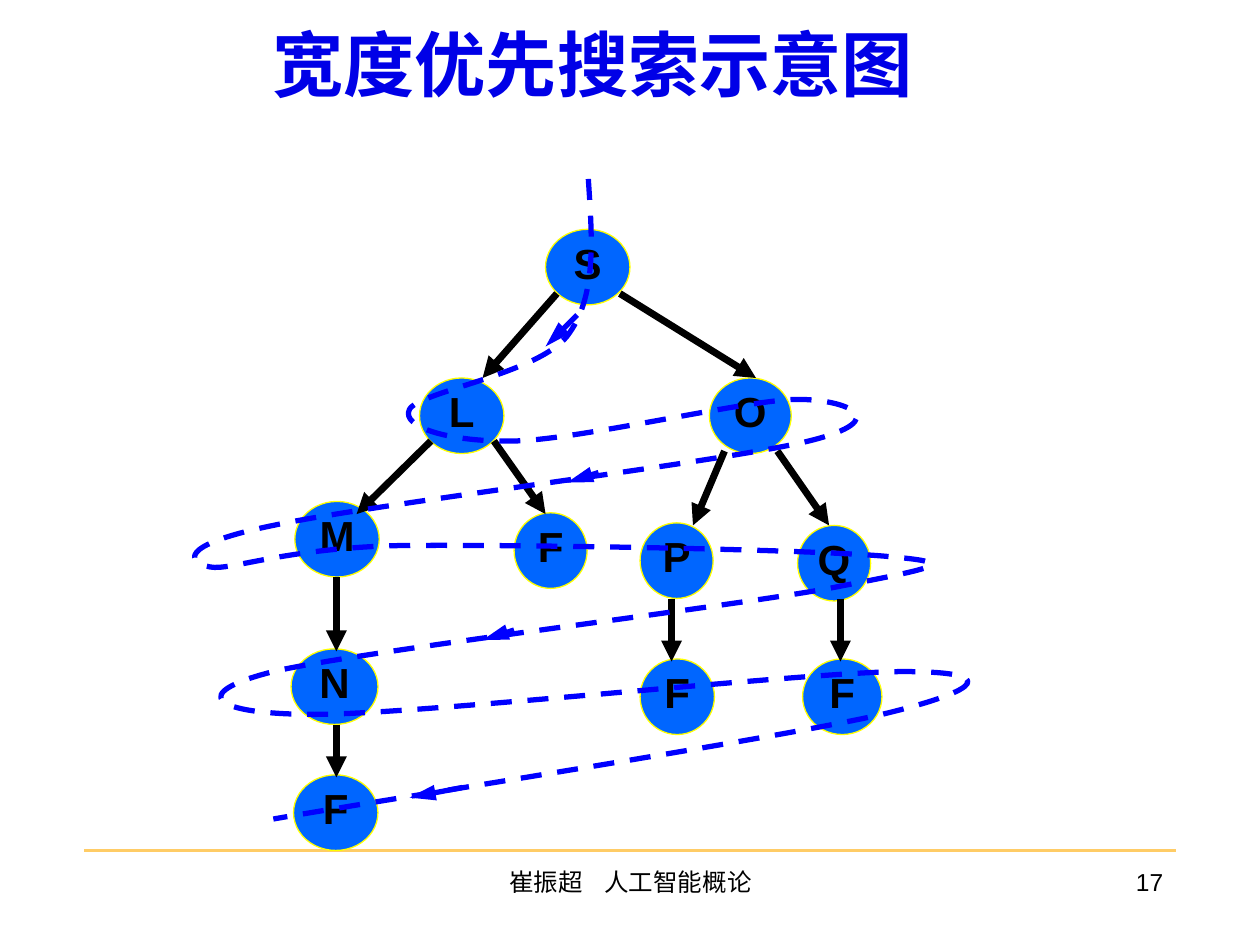
from lxml import etree
from pptx import Presentation
from pptx.dml.color import RGBColor
from pptx.enum.dml import MSO_LINE
from pptx.enum.shapes import MSO_CONNECTOR, MSO_SHAPE
from pptx.enum.text import MSO_ANCHOR, PP_ALIGN
from pptx.oxml.ns import qn
from pptx.util import Inches, Pt

STRAIGHT = MSO_CONNECTOR.STRAIGHT
OVAL = MSO_SHAPE.OVAL
MIDDLE, TOP = MSO_ANCHOR.MIDDLE, MSO_ANCHOR.TOP
CENTER, RIGHT = PP_ALIGN.CENTER, PP_ALIGN.RIGHT
DASH = MSO_LINE.DASH
CJK = "Noto Sans CJK SC"
rgb = RGBColor.from_string

prs = Presentation()
prs.slide_width, prs.slide_height = Inches(10), Inches(7.5)
s = prs.slides.add_slide(prs.slide_layouts[6])


def write(sp, texts, size, color="000000", font="Arial", bold=False,
          align=CENTER, anchor=TOP, wrap=True, spacing=1.0):
    """Fill a shape with one paragraph, one run per text, and return the runs."""
    tf = sp.text_frame
    tf.word_wrap = wrap
    tf.vertical_anchor = anchor
    p = tf.paragraphs[0]
    p.alignment = align
    p.line_spacing = spacing
    for text in texts:
        r = p.add_run()
        r.text = text
        r.font.size, r.font.bold, r.font.name = Pt(size), bold, font
        r.font.color.rgb = rgb(color)
        etree.SubElement(r.font._element, qn("a:ea"), typeface=CJK)
    return p.runs


def add_line(x1, y1, x2, y2, color, width, head=None):
    """Draw a line; head is the length of its arrowhead (med or lg)."""
    sp = s.shapes.add_connector(STRAIGHT, Inches(x1), Inches(y1), Inches(x2), Inches(y2))
    sp.line.color.rgb = rgb(color)
    sp.line.width = Pt(width)
    if head:
        etree.SubElement(sp.line._get_or_add_ln(), qn("a:tailEnd"), type="triangle", len=head)
    etree.SubElement(sp._element.spPr, qn("a:effectLst"))


# Footer rule and slide number
add_line(0.67, 6.75, 9.33, 6.75, "FFCC66", 1.5)
sp = s.shapes.add_textbox(Inches(7.25), Inches(6.83), Inches(2.08), Inches(0.5))
write(sp, ["17"], 14, align=RIGHT)

# Tree nodes: label, left, top, width
NODE_HEIGHT = 0.6
nodes = [
    ("S", 4.33, 1.82, 0.67),
    ("L", 3.33, 3, 0.67), ("O", 5.63, 3, 0.65),
    ("M", 2.34, 3.98, 0.67), ("F", 4.08, 4.07, 0.58),
    ("P", 5.08, 4.15, 0.58), ("Q", 6.33, 4.17, 0.58),
    ("N", 2.31, 5.15, 0.69), ("F", 2.33, 6.15, 0.67),
    ("F", 5.08, 5.23, 0.59), ("F", 6.37, 5.23, 0.63),
]
for label, x, y, w in nodes:
    sp = s.shapes.add_shape(OVAL, Inches(x), Inches(y), Inches(w), Inches(NODE_HEIGHT))
    sp.shadow.inherit = False
    sp.fill.solid()
    sp.fill.fore_color.rgb = rgb("0066FF")
    sp.line.color.rgb = rgb("FFFF00")
    sp.line.width = Pt(0.75)
    write(sp, [label], 24, bold=True, anchor=MIDDLE, wrap=False, spacing=0.8)

# Tree edges, parent to child
edges = [
    (4.42, 2.33, 3.83, 3), (4.92, 2.33, 6, 3),
    (3.42, 3.5, 2.83, 4.08), (3.92, 3.5, 4.33, 4.08),
    (5.75, 3.58, 5.5, 4.17), (6.17, 3.58, 6.58, 4.17),
    (2.67, 4.58, 2.67, 5.17), (2.67, 5.75, 2.67, 6.17),
    (5.33, 4.75, 5.33, 5.25), (6.67, 4.75, 6.67, 5.25),
]
for edge in edges:
    add_line(*edge, "000000", 4, "med")

# Visiting order: start, then two control points and an end for each curve
start = (4.67, 1.42)
curve_points = [
    (4.7, 1.89), (4.74, 2.36), (4.5, 2.67),
    (4.26, 2.97), (3.32, 3.11), (3.25, 3.25),
    (3.18, 3.39), (3.57, 3.51), (4.08, 3.5),
    (4.6, 3.49), (5.94, 3.17), (6.33, 3.17),
    (6.72, 3.17), (7.11, 3.33), (6.42, 3.5),
    (5.72, 3.67), (2.96, 4), (2.17, 4.17),
    (1.38, 4.33), (1.5, 4.47), (1.67, 4.5),
    (1.83, 4.53), (2.26, 4.35), (3.17, 4.33),
    (4.07, 4.32), (6.51, 4.36), (7.08, 4.42),
    (7.65, 4.47), (7.4, 4.51), (6.58, 4.67),
    (5.76, 4.82), (2.85, 5.17), (2.17, 5.33),
    (1.49, 5.5), (1.67, 5.67), (2.5, 5.67),
    (3.33, 5.67), (6.42, 5.33), (7.17, 5.33),
    (7.92, 5.33), (7.83, 5.47), (7, 5.67),
    (6.17, 5.86), (2.97, 6.36), (2.17, 6.5),
]
fb = s.shapes.build_freeform(Inches(start[0]), Inches(start[1]))
fb.add_line_segments([(Inches(x), Inches(y)) for x, y in curve_points], close=False)
sp = fb.convert_to_shape()
sp.shadow.inherit = False
sp.fill.background()
sp.line.color.rgb = rgb("0000FF")
sp.line.width = Pt(3)
sp.line.dash_style = DASH

# Each three straight steps become one cubic curve
outline = next(sp._element.iter(qn("a:path")))
steps = outline.findall(qn("a:lnTo"))
for i in range(0, len(steps), 3):
    curve = etree.SubElement(outline, qn("a:cubicBezTo"))
    for step in steps[i:i + 3]:
        curve.append(step[0])
        outline.remove(step)

# Direction marks along the visiting order
for mark in [(3.67, 6.25, 3.25, 6.33), (4.08, 5, 3.83, 5.08),
             (4.75, 3.75, 4.5, 3.83), (4.58, 2.5, 4.33, 2.75)]:
    add_line(*mark, "0000FF", 3, "lg")

# Title and footer
sp = s.shapes.add_textbox(Inches(0.83), Inches(0.13), Inches(7.75), Inches(0.83))
write(sp, ["宽度优先搜索示意图"], 40.7, "0000E7", CJK, bold=True, anchor=MIDDLE, spacing=0.9)
sp = s.shapes.add_textbox(Inches(3.42), Inches(6.83), Inches(3.17), Inches(0.5))
author, gap, course = write(sp, ["崔振超", " ", "人工智能概论"], 14)
gap.font._element.set("spc", "900")  # widens the gap by 9 pt

prs.save("out.pptx")
